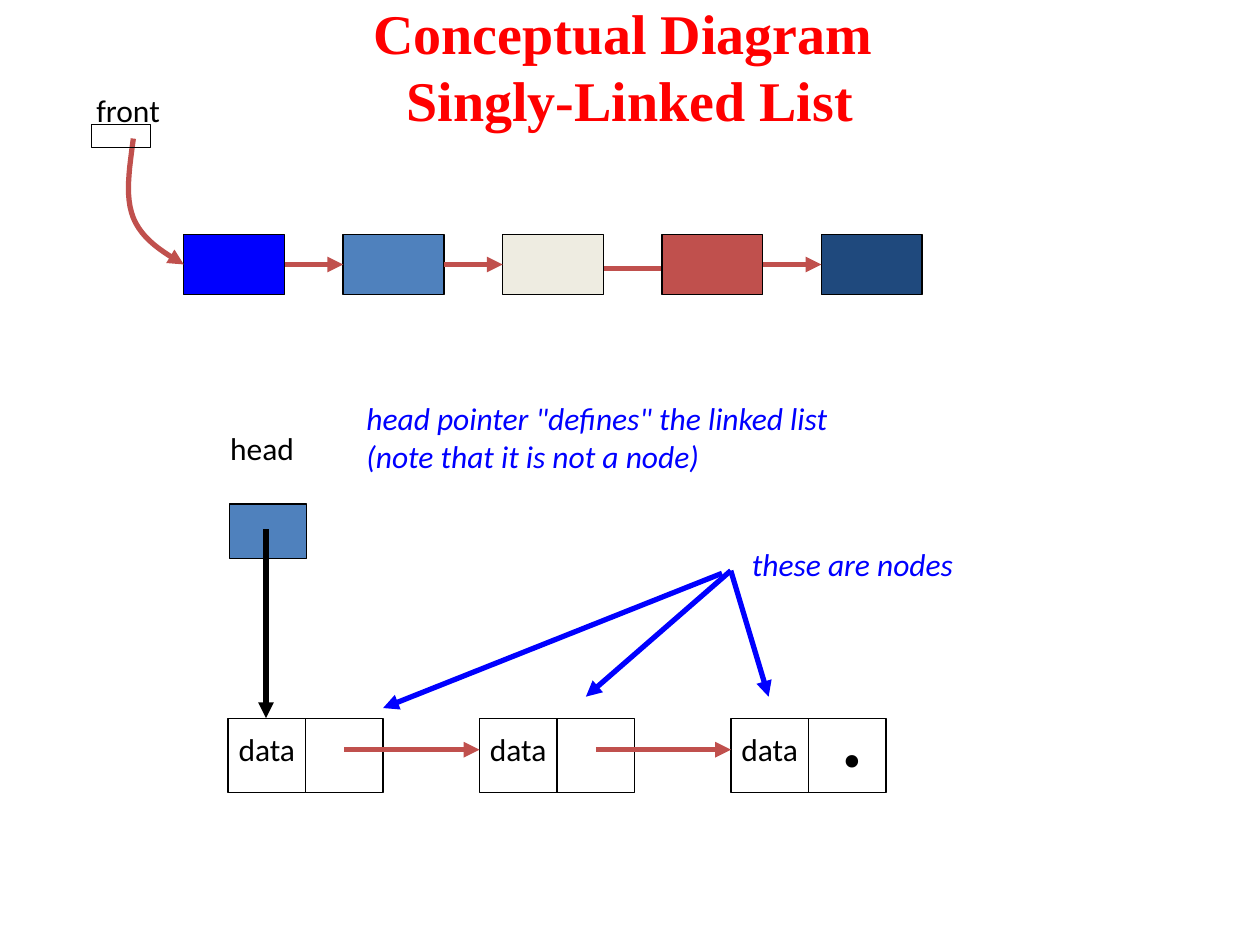
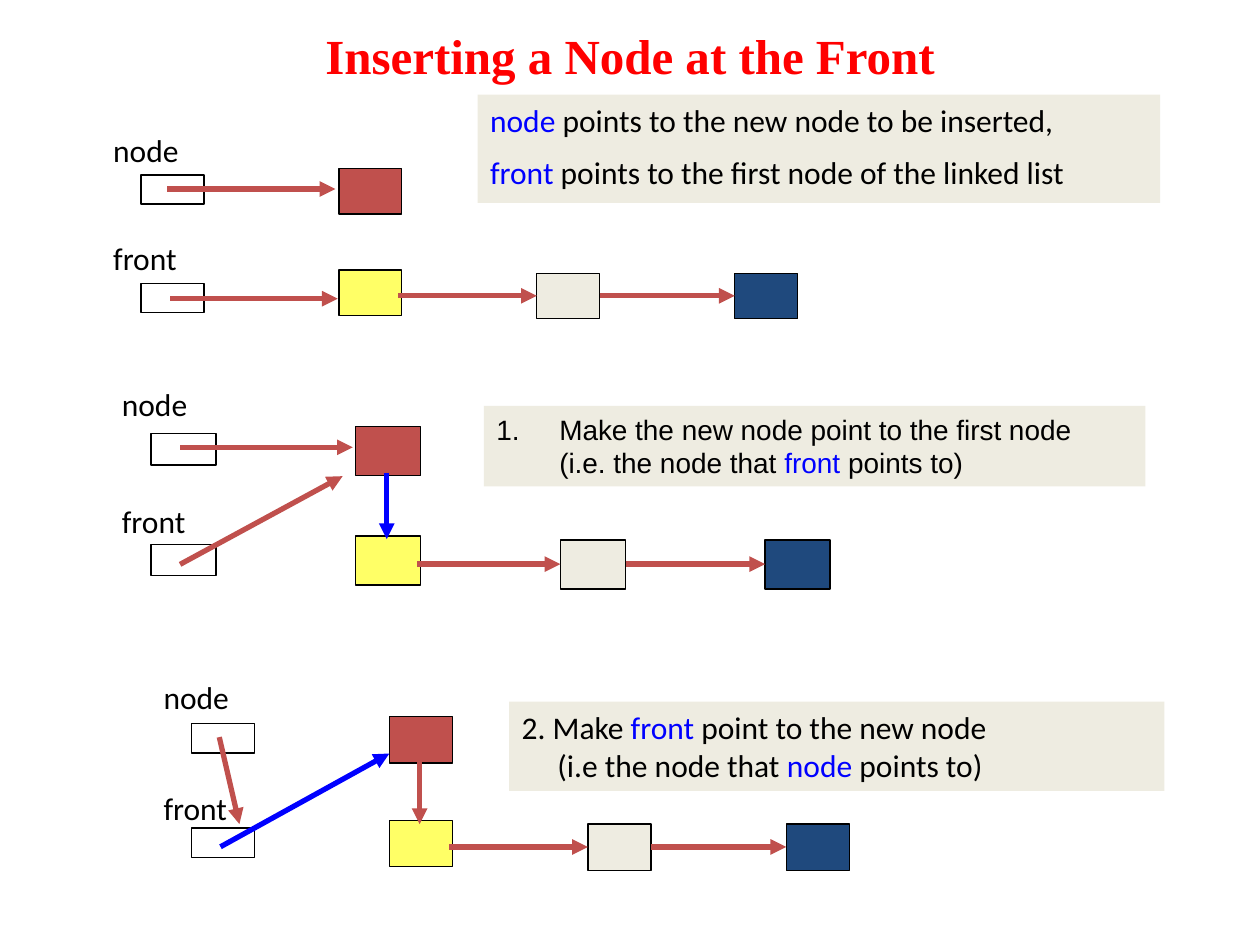
import dataclasses

import pptx
import pptx.dml.color
import pptx.enum.dml
import pptx.enum.shapes
import pptx.enum.text
import pptx.oxml
import pptx.oxml.ns
import pptx.util

Pt = pptx.util.Pt
ANCHOR = pptx.enum.text.MSO_ANCHOR
ALIGN = pptx.enum.text.PP_ALIGN


@dataclasses.dataclass(frozen=True)
class Theme:
    black: str = "000000"
    title: str = "FF0000"
    accent: str = "0000FF"
    link: str = "C0504D"
    steel: str = "4F81BD"
    cream: str = "EEECE1"
    navy: str = "1F497D"
    yellow: str = "FFFF66"
    title_font: str = "Times New Roman"
    body_font: str = "Calibri"
    step_font: str = "Arial"
    body_size: float = 18
    step_size: float = 16
    dot_size: float = 60
    outline: float = 0.75
    arrow: float = 3


THEME = Theme()


def rgb(value):
    return pptx.dml.color.RGBColor.from_string(value)


def write(frame, lines, font=THEME.body_font, size=THEME.body_size, color=THEME.black,
          bold=False, italic=False, align=ALIGN.LEFT, anchor=ANCHOR.TOP, wrap=True,
          gap=0, indents=None, numbered=False):
    """Write lines into a frame; words between asterisks take the accent colour.

    indents holds one (left margin, first-line indent) pair for each line.
    """
    frame.auto_size = pptx.enum.text.MSO_AUTO_SIZE.NONE
    frame.word_wrap = wrap
    frame.vertical_anchor = anchor
    for index, line in enumerate(lines):
        paragraph = frame.paragraphs[0] if index == 0 else frame.add_paragraph()
        paragraph.alignment = align
        paragraph.space_before = Pt(gap if index else 0)
        if indents:
            margin, first = indents[index]
            properties = paragraph._p.get_or_add_pPr()
            properties.set("marL", str(Pt(margin)))
            properties.set("indent", str(Pt(first)))
            if numbered and first < 0:
                number = properties.makeelement(pptx.oxml.ns.qn("a:buAutoNum"),
                                                {"type": "arabicPeriod"})
                properties.append(number)
        for part, words in enumerate(line.split("*")):
            if not words:
                continue
            for piece, row in enumerate(words.split("\n")):
                if piece:
                    paragraph.add_line_break()
                run = paragraph.add_run()
                run.text = row
                run.font.name = font
                run.font.size = Pt(size)
                run.font.bold = bold
                run.font.italic = italic
                run.font.color.rgb = rgb(THEME.accent if part % 2 else color)


def label(slide, words, left, top, width, height, **style):
    box = slide.shapes.add_textbox(Pt(left), Pt(top), Pt(width), Pt(height))
    write(box.text_frame, words if isinstance(words, list) else [words], **style)


def rectangle(slide, left, top, width, height, fill=None, outlined=True):
    box = slide.shapes.add_shape(pptx.enum.shapes.MSO_SHAPE.RECTANGLE,
                                 Pt(left), Pt(top), Pt(width), Pt(height))
    box.shadow.inherit = False
    if fill:
        box.fill.solid()
        box.fill.fore_color.rgb = rgb(fill)
    else:
        box.fill.background()
    if outlined:
        box.line.color.rgb = rgb(THEME.black)
        box.line.width = Pt(THEME.outline)
    else:
        box.line.fill.background()
    return box


def point_line(link, color):
    """Give a line its colour and weight, and an arrowhead at its end."""
    link.line.color.rgb = rgb(color)
    link.line.width = Pt(THEME.arrow)
    line = link._element.spPr.find(pptx.oxml.ns.qn("a:ln"))
    line.append(line.makeelement(pptx.oxml.ns.qn("a:tailEnd"), {"type": "triangle"}))


def arrow(slide, x1, y1, x2, y2, color=THEME.link):
    link = slide.shapes.add_connector(pptx.enum.shapes.MSO_CONNECTOR.STRAIGHT,
                                      Pt(x1), Pt(y1), Pt(x2), Pt(y2))
    point_line(link, color)
    properties = link._element.spPr
    properties.append(properties.makeelement(pptx.oxml.ns.qn("a:effectLst"), {}))


def curved_arrow(slide, start, *curves, steps=12):
    """Draw cubic curves, each given by two control points and an end."""
    points = []
    here = start
    for c1, c2, end in curves:
        for step in range(1, steps + 1):
            t = step / steps
            weights = ((1 - t) ** 3, 3 * t * (1 - t) ** 2, 3 * t * t * (1 - t), t ** 3)
            corners = (here, c1, c2, end)
            points.append(tuple(Pt(sum(w * corner[axis] for w, corner in zip(weights, corners)))
                                for axis in (0, 1)))
        here = end
    outline = slide.shapes.build_freeform(Pt(start[0]), Pt(start[1]))
    outline.add_line_segments(points, close=False)
    curve = outline.convert_to_shape()
    curve.fill.background()
    curve.shadow.inherit = False
    point_line(curve, THEME.link)


def titled_slide(deck, words, left, top, width, height, size):
    slide = deck.slides.add_slide(deck.slide_layouts[5])
    title = slide.shapes.title
    title.left, title.top, title.width, title.height = map(Pt, (left, top, width, height))
    write(title.text_frame, [words], font=THEME.title_font, size=size, color=THEME.title,
          bold=True, align=ALIGN.CENTER, anchor=ANCHOR.MIDDLE)
    return slide


def front_chain(slide, left, top):
    """Five coloured nodes in a row, reached from the front pointer."""
    fills = [THEME.accent, THEME.steel, THEME.cream, THEME.link, THEME.navy]
    width, height, pitch = 57.6, 34.5, 91.1
    nodes_left, nodes_top = left + 52.6, top + 85.7
    middle = nodes_top + height / 2
    # This link runs on behind the fourth node
    link_left = nodes_left + 2 * pitch + width
    arrow(slide, link_left, middle + 2.3, link_left + 42, middle + 2.3)
    for index, fill in enumerate(fills):
        rectangle(slide, nodes_left + index * pitch, nodes_top, width, height, fill)
    for index in (0, 1, 3):
        node_left = nodes_left + index * pitch
        arrow(slide, node_left + width, middle, node_left + pitch, middle)
    # Front pointer
    label(slide, "front", left - 4.4, top, 57.6, 18)
    x, y = left + 23.8, top + 31
    curved_arrow(slide, (x, y),
                 ((x - 2.2, y + 16.6), (x - 5, y + 33.1), (x, y + 45.4)),
                 ((x + 5, y + 57.6), (x + 16.6, y + 64.8), (nodes_left, middle)))
    rectangle(slide, left, top + 23, 33.8, 13)


def head_list(slide, left, top):
    """Data nodes reached from the head pointer, with remarks."""
    cell, height, pitch = 44.3, 42.6, 143.7
    row = top + 185.8
    # Head pointer
    rectangle(slide, left + 0.7, top + 63.4, cell, 31)
    slide.shapes[-1].fill.solid()
    slide.shapes[-1].fill.fore_color.rgb = rgb(THEME.steel)
    label(slide, "head", left - 5.8, top + 17.3, 77, 31.7)
    # Nodes: a data cell and a link cell each
    for index in range(3):
        node_left = left + index * pitch
        rectangle(slide, node_left + cell, row, cell, height)
        data = rectangle(slide, node_left, row, cell, height).text_frame
        data.margin_bottom = Pt(11)
        write(data, ["data"], align=ALIGN.CENTER, anchor=ANCHOR.MIDDLE, wrap=False)
    arrow(slide, left + 21.7, top + 77.8, left + 21.7, row, THEME.black)
    for index in range(2):
        node_left = left + index * pitch
        arrow(slide, node_left + 1.5 * cell, row + 18, node_left + pitch, row + 18)
    label(slide, ".", left + 342, top + 149.8, 22.3, 80,
          font=THEME.title_font, size=THEME.dot_size)
    # Remarks
    remark = {"color": THEME.accent, "italic": True}
    fan_left, fan_top = left + 287.3, top + 101.5
    arrow(slide, fan_left - 5, fan_top + 1.5, left + 2 * cell, row - 5.8, THEME.accent)
    for reach in (-82.8, 21.6):
        arrow(slide, fan_left, fan_top, fan_left + reach, fan_top + 72, THEME.accent)
    label(slide, "these are nodes", fan_left + 5, fan_top - 18, 172.8, 31.7, **remark)
    label(slide, ['head pointer "defines" the linked list', "(note that it is not a node)"],
          left + 72, top, 338.4, 55.4, **remark)


def insert_stage(slide, left, top, width, height, front_row, arrows):
    """One state of the list, scaled to its box; arrows are relative to the box."""
    kx, ky = width / 398.6, height / 113.8

    def place(x, y, w, h, fill=None):
        rectangle(slide, left + x * kx, top + y * ky, w * kx, h * ky, fill)

    # The two pointers
    for name, label_row, pointer_row in (("node", 0, 29.5), ("front", 63.4, front_row)):
        place(23, pointer_row, 36, 17)
        label(slide, name, left, top + label_row * ky, 72 * kx, 23 * ky)
    # The new node above the list, then the list itself
    column, pitch, node_width, node_height = 136.2, 113.2, 36, 26.6
    place(column, 25.7, node_width, node_height, THEME.link)
    for index, fill in enumerate((THEME.yellow, THEME.cream, THEME.navy)):
        place(column + index * pitch, 87.1 if index else 85, node_width, node_height, fill)
    for index in range(2):
        start = column + index * pitch + node_width - (0 if index else 2)
        y = top + 100.2 * ky
        arrow(slide, left + start * kx, y, left + (column + (index + 1) * pitch) * kx, y)
    for x1, y1, x2, y2, color in arrows:
        arrow(slide, left + x1, top + y1, left + x2, top + y2, color)


def note(slide, left, top, width, height, lines, **style):
    panel = rectangle(slide, left, top, width, height, THEME.cream, outlined=False)
    write(panel.text_frame, lines, **style)


deck = pptx.Presentation()
deck.slide_width, deck.slide_height = Pt(720), Pt(540)

# Slide 1: the idea of a linked list
concept = titled_slide(deck, "Conceptual Diagram \nSingly-Linked List", 54, 18, 612, 39, 32)
front_chain(concept, 52.4, 48.2)
head_list(concept, 130.3, 224.6)

# Slide 2: the list before, during and after the insertion
inserting = titled_slide(deck, "Inserting a Node at the Front", 36, 21.6, 648, 20, 28)
insert_stage(inserting, 57.6, 71.3, 398.2, 111, 93, [
    (38, 36.7, 134, 36.7, THEME.link),
    (39.6, 99.4, 135.4, 99.4, THEME.link)])
note(inserting, 273, 54, 390, 62,
     ["*node* points to the new node to be inserted,",
      "*front* points to the first node of the linked list"], gap=8.5)

insert_stage(inserting, 62.6, 216.7, 411.8, 120, 89.5, [
    (40.3, 38.9, 139, 38.9, THEME.link),
    (40.3, 105.8, 133.2, 55.4, THEME.link),
    (158.4, 53.3, 158.4, 91.4, THEME.accent)])
note(inserting, 276.5, 232, 378, 46,
     ["Make the new node point to the first node",
      "(i.e. the node that *front *points to)"],
     font=THEME.step_font, size=THEME.step_size,
     indents=[(36, -36), (36, 0)], numbered=True)

insert_stage(inserting, 86.4, 383.8, 398.9, 113.8, 89.3, [
    (38.9, 37.4, 50.4, 87.1, THEME.link),
    (39.6, 100.1, 136.1, 46.8, THEME.accent),
    (153.4, 51.1, 153.4, 87.1, THEME.link)])
note(inserting, 291, 401, 374.4, 51,
     ["2. Make *front* point to the new node",
      "(i.e the node that *node *points to)"],
     indents=[(0, 0), (20.5, 0)])

deck.save("out.pptx")
